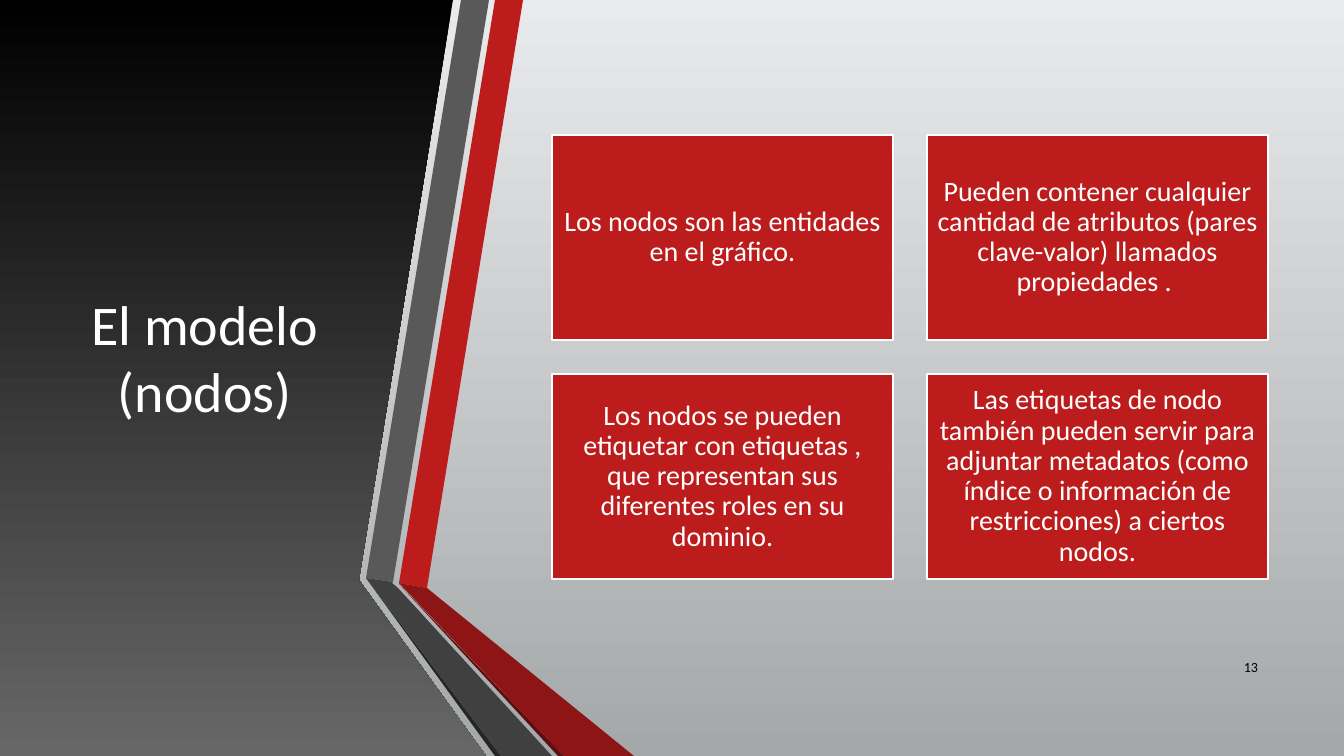
from pptx import Presentation
from pptx.dml.color import RGBColor
from pptx.enum.shapes import MSO_SHAPE
from pptx.enum.text import MSO_ANCHOR, PP_ALIGN
from pptx.util import Pt

RECTANGLE = MSO_SHAPE.RECTANGLE
MIDDLE = MSO_ANCHOR.MIDDLE
CENTER = PP_ALIGN.CENTER
RIGHT = PP_ALIGN.RIGHT

WHITE = RGBColor(0xFF, 0xFF, 0xFF)
BLACK = RGBColor(0x00, 0x00, 0x00)
RED = RGBColor(0xBC, 0x1C, 0x1C)
DARK_RED = RGBColor(0x8D, 0x15, 0x15)
DEEP_RED = RGBColor(0x5E, 0x0E, 0x0E)
GREY = RGBColor(0x59, 0x59, 0x59)
DARK_GREY = RGBColor(0x40, 0x40, 0x40)
DEEP_GREY = RGBColor(0x26, 0x26, 0x26)
PANEL_GREY = RGBColor(0x67, 0x67, 0x67)
LIGHT_SILVER = RGBColor(0xE9, 0xEA, 0xEB)
SILVER = RGBColor(0xA5, 0xA8, 0xA9)

WIDTH, HEIGHT = 1344, 756
SLIDE_WIDTH = 12192000
SCALE = SLIDE_WIDTH / WIDTH

PANEL = [(356, 0), (453, 0), (359, 580), (486, HEIGHT), (0, HEIGHT), (0, 0)]
RIBBONS = [
    (RED, [(399, 583), (427, 588), (523, 0), (495, 0)]),
    (GREY, [(489, 0), (461, 0), (366, 578), (393, 582)]),
    (DEEP_GREY, [(366, 578), (495, HEIGHT), (501, HEIGHT)]),
    (DEEP_RED, [(399, 584), (558, HEIGHT), (564, HEIGHT)]),
    (DARK_RED, [(399, 583), (564, HEIGHT), (634, HEIGHT), (427, 588)]),
    (DARK_GREY, [(552, HEIGHT), (398, 588), (392, 583), (393, 582), (366, 578), (501, HEIGHT)]),
]

CARDS = [
    "Los nodos son las entidades en el gráfico.",
    "Pueden contener cualquier cantidad de atributos (pares clave-valor) llamados propiedades . ",
    "Los nodos se pueden etiquetar con etiquetas , que representan sus diferentes roles en su dominio.",
    "Las etiquetas de nodo también pueden servir para adjuntar metadatos "
    "(como índice o información de restricciones) a ciertos nodos.",
]
CARD_LEFT, CARD_TOP = 552, 135
CARD_WIDTH, CARD_HEIGHT = 341, 205
CARD_GAP = 34


def px(length):
    return round(length * SCALE)


class Page:
    font = "Calibri"

    def __init__(self, deck):
        self.slide = deck.slides.add_slide(deck.slide_layouts[6])
        self.shapes = self.slide.shapes

    def gradient(self, fill, top_color, bottom_color):
        fill.gradient()
        fill.gradient_angle = 270
        for stop, color in zip(fill.gradient_stops, (top_color, bottom_color)):
            stop.color.rgb = color

    def background(self, top_color, bottom_color):
        self.gradient(self.slide.background.fill, top_color, bottom_color)

    def rectangle(self, left, top, width, height):
        box = self.shapes.add_shape(RECTANGLE, px(left), px(top), px(width), px(height))
        box.shadow.inherit = False
        return box

    def backdrop(self, top_color, bottom_color):
        box = self.rectangle(0, 0, WIDTH, HEIGHT)
        self.gradient(box.fill, top_color, bottom_color)
        box.line.fill.background()

    def outline(self, points):
        builder = self.shapes.build_freeform(*points[0], scale=SCALE)
        builder.add_line_segments(points[1:], close=True)
        shape = builder.convert_to_shape()
        shape.shadow.inherit = False
        shape.line.fill.background()
        return shape

    def panel(self, points, top_color, bottom_color):
        self.gradient(self.outline(points).fill, top_color, bottom_color)

    def ribbon(self, points, color):
        fill = self.outline(points).fill
        fill.solid()
        fill.fore_color.rgb = color

    def set_text(self, box, text, size, color, align, inset, spacing=1.0):
        frame = box.text_frame
        frame.word_wrap = True
        frame.vertical_anchor = MIDDLE
        frame.margin_left = frame.margin_right = px(inset)
        frame.margin_top = frame.margin_bottom = px(inset)
        para = frame.paragraphs[0]
        para.text = text
        para.alignment = align
        para.line_spacing = spacing
        para.font.name = self.font
        para.font.size = Pt(size)
        para.font.color.rgb = color

    def label(self, left, top, width, height, text, size, color, align):
        box = self.shapes.add_textbox(px(left), px(top), px(width), px(height))
        self.set_text(box, text, size, color, align, inset=10)

    def card(self, left, top, text):
        box = self.rectangle(left, top, CARD_WIDTH, CARD_HEIGHT)
        box.fill.solid()
        box.fill.fore_color.rgb = RED
        box.line.color.rgb = WHITE
        box.line.width = Pt(1.25)
        self.set_text(box, text, 20, WHITE, CENTER, inset=8, spacing=0.9)


def main():
    deck = Presentation()
    deck.slide_width = SLIDE_WIDTH
    deck.slide_height = px(HEIGHT)
    page = Page(deck)

    page.background(LIGHT_SILVER, SILVER)
    page.backdrop(LIGHT_SILVER, SILVER)
    page.panel(PANEL, BLACK, PANEL_GREY)
    page.label(59, 76, 291, 562, "El modelo (nodos)", 40, WHITE, CENTER)
    for color, points in RIBBONS:
        page.ribbon(points, color)

    for index, text in enumerate(CARDS):
        row, column = divmod(index, 2)
        left = CARD_LEFT + column * (CARD_WIDTH + CARD_GAP)
        top = CARD_TOP + row * (CARD_HEIGHT + CARD_GAP)
        page.card(left, top, text)

    page.label(1208, 647, 60, 40, "13", 10, BLACK, RIGHT)
    deck.save("out.pptx")


if __name__ == "__main__":
    main()
